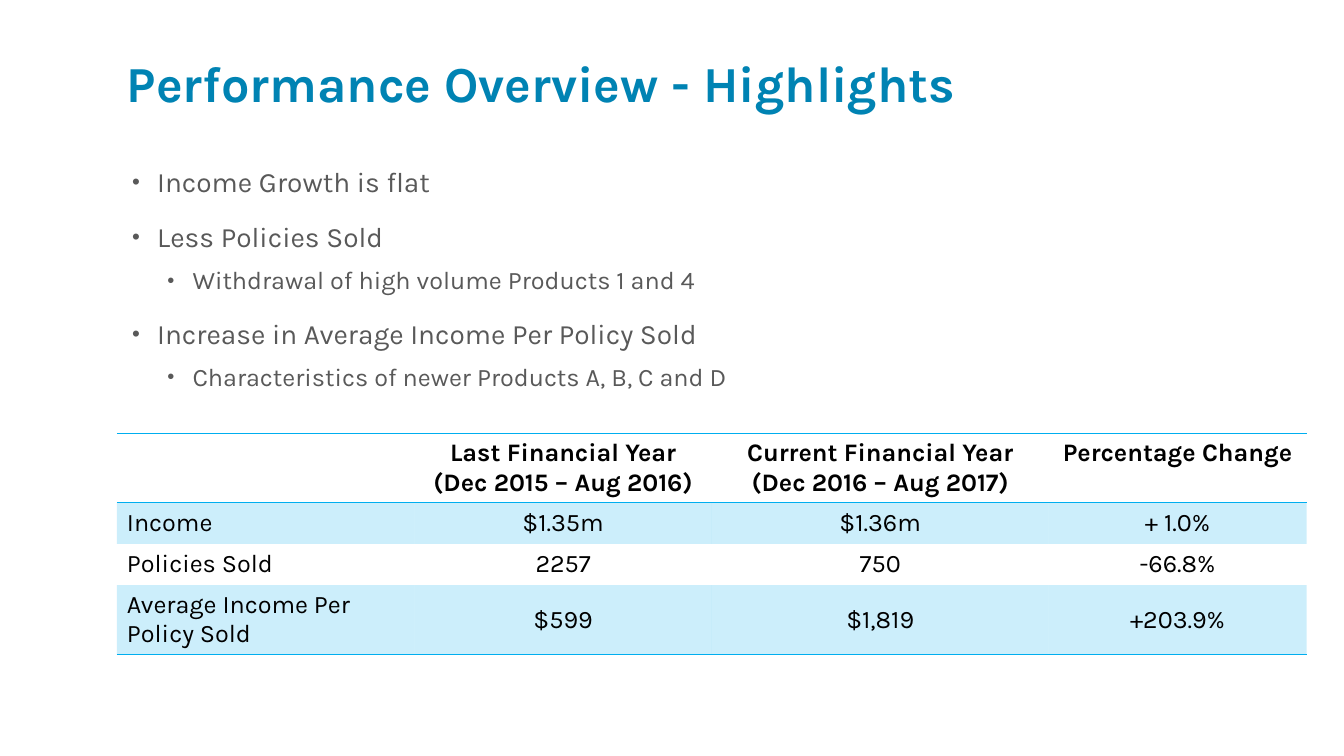
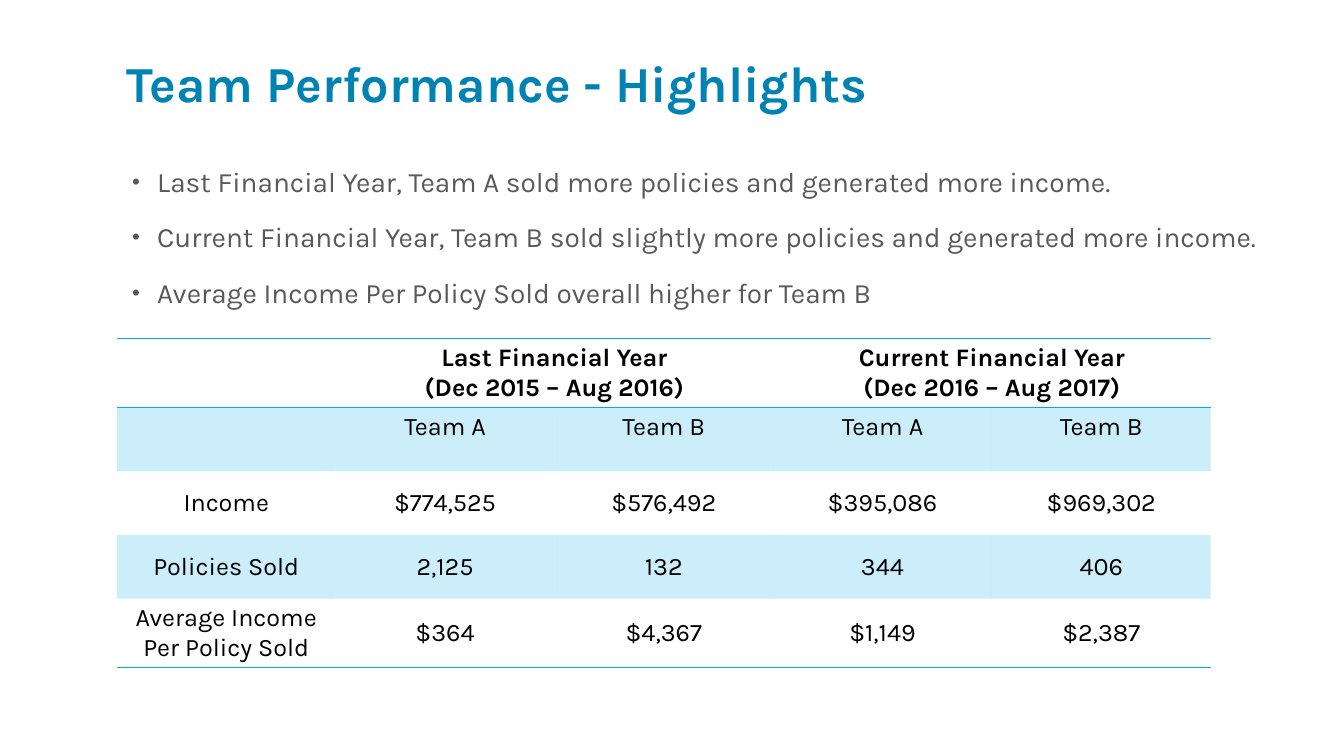
"""Build two performance highlight slides, each with a bullet list and a table."""
import pptx
import pptx.dml.color
import pptx.enum.text
import pptx.oxml
import pptx.oxml.ns
import pptx.util
from lxml import etree

Pt = pptx.util.Pt
PP_ALIGN = pptx.enum.text.PP_ALIGN
MSO_ANCHOR = pptx.enum.text.MSO_ANCHOR
COLORS = {"title": "0083B3", "body": "595959", "table": "000000", "accent": "00AEEF"}
FONT = "Karla"
LEFT = 83.5
NO_TABLE_STYLE = "{2D5ABB26-0587-4C30-8999-92F81FD0307C}"
LAST_YEAR = "Last Financial Year\n(Dec 2015 – Aug 2016)"
CURRENT_YEAR = "Current Financial Year\n(Dec 2016 – Aug 2017)"
BULLET_LEVELS = [
    {"indent": 21.6, "size": 20, "before": 18},
    {"indent": 46.8, "size": 18, "before": 10},
]

pages = [
    {
        "title": "Performance Overview - Highlights",
        "bullet_box": (486.7, 175.7),
        "bullets": [
            (0, "Income Growth is flat"),
            (0, "Less Policies Sold"),
            (1, "Withdrawal of high volume Products 1 and 4"),
            (0, "Increase in Average Income Per Policy Sold"),
            (1, "Characteristics of newer Products A, B, C and D"),
        ],
        "table_top": 309.5,
        "columns": [212.5, 212.5, 240.5, 184.3],
        "row_heights": [49.3, 29.5, 29.5, 49.3],
        "header_rows": 1,
        "label_align": PP_ALIGN.LEFT,
        "rows": [
            ["", LAST_YEAR, CURRENT_YEAR, "Percentage Change"],
            ["Income", "$1.35m", "$1.36m", "+ 1.0%"],
            ["Policies Sold", "2257", "750", "-66.8%"],
            ["Average Income Per Policy Sold", "$599", "$1,819", "+203.9%"],
        ],
    },
    {
        "title": "Team Performance - Highlights",
        "bullet_box": (849.6, 124.6),
        "bullets": [
            (0, "Last Financial Year, Team A sold more policies and generated more income."),
            (0, "Current Financial Year, Team B sold slightly more policies and generated more income."),
            (0, "Average Income Per Policy Sold overall higher for Team B"),
        ],
        "table_top": 241.6,
        "columns": [156.25] * 5,
        "row_heights": [49.3, 45.5, 45.5, 45.5, 49.3],
        "header_rows": 2,
        "label_align": PP_ALIGN.CENTER,
        "rows": [
            ["", LAST_YEAR, None, CURRENT_YEAR, None],
            ["", "Team A", "Team B", "Team A", "Team B"],
            ["Income", "$774,525", "$576,492", "$395,086", "$969,302"],
            ["Policies Sold", "2,125", "132", "344", "406"],
            ["Average Income Per Policy Sold", "$364", "$4,367", "$1,149", "$2,387"],
        ],
    },
]


def set_font(paragraph, size, color, bold=False):
    paragraph.font.name = FONT
    paragraph.font.size = Pt(size)
    paragraph.font.bold = bold
    paragraph.font.color.rgb = pptx.dml.color.RGBColor.from_string(COLORS[color])


def add_xml(parent, xml):
    namespace = pptx.oxml.ns.nsdecls("a")
    parent.append(pptx.oxml.parse_xml(xml.replace(">", f" {namespace}>", 1)))


deck = pptx.Presentation()
deck.slide_width = Pt(960)
deck.slide_height = Pt(540)

for page in pages:
    slide = deck.slides.add_slide(deck.slide_layouts[1])

    title = slide.shapes.title
    title.left, title.top, title.width, title.height = Pt(LEFT), Pt(41.8), Pt(684), Pt(52.6)
    title.text_frame.text = page["title"]
    title.text_frame.auto_size = pptx.enum.text.MSO_AUTO_SIZE.NONE
    title.text_frame.vertical_anchor = MSO_ANCHOR.TOP
    heading = title.text_frame.paragraphs[0]
    heading.alignment = PP_ALIGN.LEFT
    heading.line_spacing = 0.8
    set_font(heading, 36, "title", bold=True)

    highlights = slide.placeholders[1]
    highlights.left, highlights.top = Pt(LEFT), Pt(116.6)
    highlights.width, highlights.height = map(Pt, page["bullet_box"])
    highlights.text_frame.text = "\n".join(text for _, text in page["bullets"])
    highlights.text_frame.auto_size = pptx.enum.text.MSO_AUTO_SIZE.NONE
    for index, (level, _) in enumerate(page["bullets"]):
        style = BULLET_LEVELS[level]
        bullet = highlights.text_frame.paragraphs[index]
        bullet.level = level
        bullet.line_spacing = 0.9
        bullet.space_before = Pt(style["before"] if index else 0)
        properties = bullet._p.get_or_add_pPr()
        properties.set("marL", str(Pt(style["indent"])))
        properties.set("indent", str(Pt(-18)))
        add_xml(properties, f'<a:buClr><a:srgbClr val="{COLORS["body"]}"/></a:buClr>')
        add_xml(properties, '<a:buSzPct val="80000"></a:buSzPct>')
        add_xml(properties, '<a:buFont typeface="Arial"></a:buFont>')
        add_xml(properties, '<a:buChar char="•"></a:buChar>')
        set_font(bullet, style["size"], "body")

    rows, columns = page["rows"], page["columns"]
    results = slide.shapes.add_table(
        len(rows), len(columns), Pt(LEFT), Pt(page["table_top"]),
        Pt(sum(columns)), Pt(sum(page["row_heights"])),
    ).table
    results.first_row = results.horz_banding = False
    results._tbl.tblPr.find(pptx.oxml.ns.qn("a:tableStyleId")).text = NO_TABLE_STYLE
    for column, width in zip(results.columns, columns):
        column.width = Pt(width)

    for row_index, values in enumerate(rows):
        results.rows[row_index].height = Pt(page["row_heights"][row_index])
        is_header = row_index == 0
        edges = ["lnT", "lnB"] if is_header else ["lnB"] if row_index == len(rows) - 1 else []
        for column_index, value in enumerate(values):
            cell = results.cell(row_index, column_index)
            if value is None:
                results.cell(row_index, column_index - 1).merge(cell)
            cell.text = value or ""
            in_header = row_index < page["header_rows"]
            cell.vertical_anchor = MSO_ANCHOR.TOP if in_header else MSO_ANCHOR.MIDDLE
            for line in cell.text_frame.paragraphs:
                line.alignment = PP_ALIGN.CENTER if column_index else page["label_align"]
                set_font(line, 18, "table", bold=is_header)
            for edge in edges:
                add_xml(
                    cell._tc.get_or_add_tcPr(),
                    f'<a:{edge} w="12700"><a:solidFill><a:srgbClr val="{COLORS["accent"]}"/>'
                    f"</a:solidFill></a:{edge}>",
                )
            if row_index % 2:
                cell.fill.solid()
                cell.fill.fore_color.rgb = pptx.dml.color.RGBColor.from_string(COLORS["accent"])
                tint = cell._tc.tcPr.find(".//" + pptx.oxml.ns.qn("a:solidFill") + "[last()]")
                tint = cell._tc.tcPr.findall(pptx.oxml.ns.qn("a:solidFill"))[0][0]
                etree.SubElement(tint, pptx.oxml.ns.qn("a:alpha"), val="20000")
            else:
                cell.fill.background()

deck.save("out.pptx")
